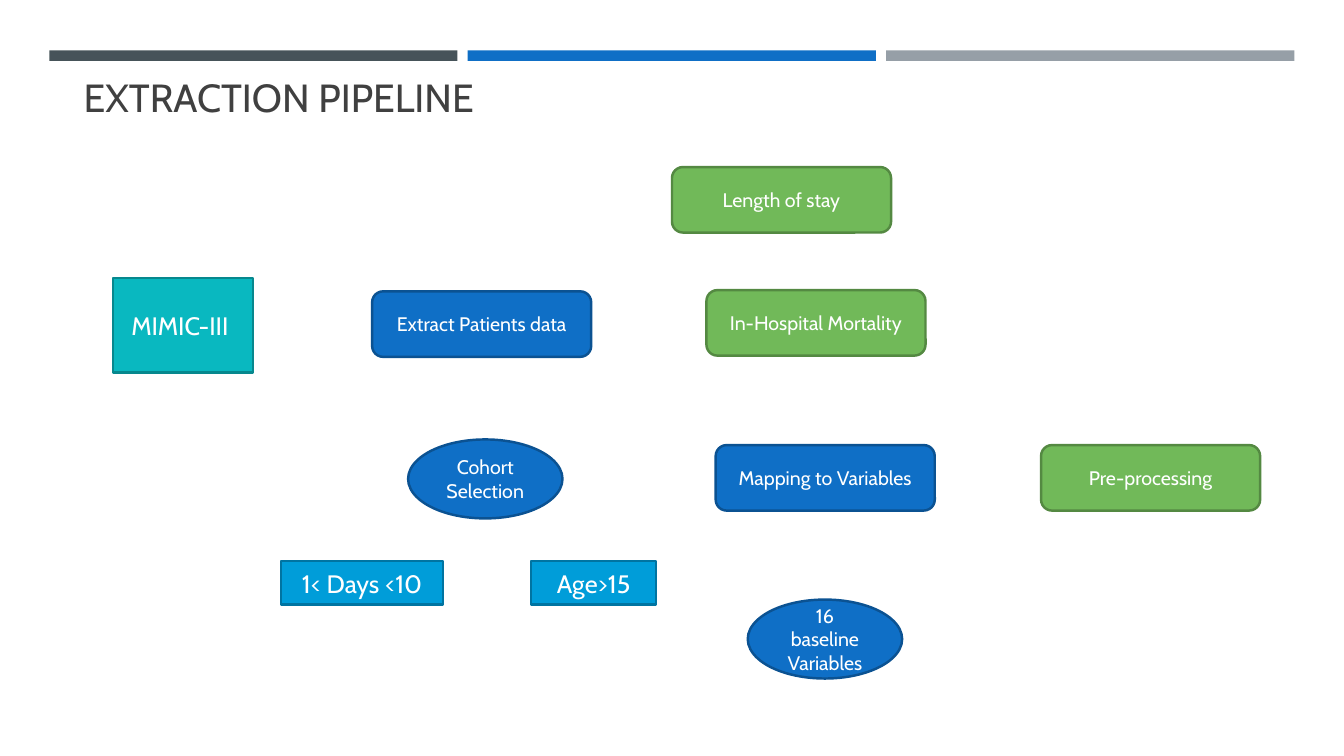
"""Build the extraction pipeline slide."""
from dataclasses import dataclass

import pptx
import pptx.dml.color
import pptx.enum.shapes
import pptx.enum.text
import pptx.util

Pt = pptx.util.Pt
Shape = pptx.enum.shapes.MSO_SHAPE
Anchor = pptx.enum.text.MSO_ANCHOR
Align = pptx.enum.text.PP_ALIGN

COLORS = {
    "title": "404040", "white": "FFFFFF",
    "slate": "465359", "gray": "969FA7",
    "blue": "0F6FC6", "blue_line": "0B5292",
    "sky": "009DD9", "sky_line": "0074A1",
    "green": "71B959", "green_line": "548942",
    "teal": "09B8C0", "teal_line": "07888E",
}
STEP_SIZE = (156.5, 46.8)
DETAIL_SIZE = (110.3, 56.4)


@dataclass(frozen=True)
class Node:
    """A labelled shape of the pipeline, in points."""
    text: str
    left: float
    top: float
    color: str
    kind: Shape = Shape.ROUNDED_RECTANGLE
    size: tuple[float, float] = STEP_SIZE
    font_size: float = 14


NODES = [
    Node("Cohort Selection", 291.5, 313.9, "blue", Shape.OVAL, DETAIL_SIZE),
    Node("Extract Patients data", 265.8, 208.1, "blue"),
    Node("Mapping to Variables", 511.2, 317.9, "blue"),
    Node("1< Days <10", 200.9, 400.9, "sky", Shape.RECTANGLE, (115.4, 31), 18),
    Node("Age>15", 379.3, 400.9, "sky", Shape.RECTANGLE, (89.5, 31), 18),
    Node("16 baseline Variables", 534.1, 428.3, "blue", Shape.OVAL, DETAIL_SIZE),
    Node("Pre-processing", 743.6, 317.9, "green"),
    Node("MIMIC-III ", 80.6, 198.7, "teal", Shape.RECTANGLE, (100, 67.3), 18),
    Node("Length of stay", 480, 119.3, "green"),
    Node("In-Hospital Mortality", 504.6, 207.2, "green"),
]


def rgb(name: str) -> pptx.dml.color.RGBColor:
    """Return the named colour."""
    return pptx.dml.color.RGBColor.from_string(COLORS[name])


def write_text(shape, text: str, *, size: float, color: str = "white",
               align: Align = Align.CENTER, anchor: Anchor = Anchor.MIDDLE) -> None:
    """Put formatted text into a shape."""
    frame = shape.text_frame
    frame.word_wrap = True
    frame.auto_size = pptx.enum.text.MSO_AUTO_SIZE.NONE
    frame.vertical_anchor = anchor
    paragraph = frame.paragraphs[0]
    paragraph.alignment = align
    run = paragraph.add_run()
    run.text = text
    run.font.name = "Cabin"
    run.font.size = Pt(size)
    run.font.color.rgb = rgb(color)


def add_block(slide, kind: Shape, left: float, top: float,
              size: tuple[float, float], color: str):
    """Add a filled shape without outline or shadow."""
    shape = slide.shapes.add_shape(kind, Pt(left), Pt(top), Pt(size[0]), Pt(size[1]))
    shape.shadow.inherit = False
    shape.fill.solid()
    shape.fill.fore_color.rgb = rgb(color)
    shape.line.fill.background()
    return shape


def add_node(slide, node: Node) -> None:
    """Draw one outlined, labelled node."""
    shape = add_block(slide, node.kind, node.left, node.top, node.size, node.color)
    shape.line.color.rgb = rgb(f"{node.color}_line")
    shape.line.width = Pt(1.75)
    write_text(shape, node.text, size=node.font_size)


def main() -> None:
    """Create and save the presentation."""
    presentation = pptx.Presentation()
    presentation.slide_width, presentation.slide_height = Pt(960), Pt(540)
    slide = presentation.slides.add_slide(presentation.slide_layouts[5])

    for index, color in enumerate(("slate", "blue", "gray")):
        add_block(slide, Shape.RECTANGLE, 35.2 + index * 298.9, 36, (291.6, 7.5), color)

    title = slide.shapes.title
    title.left, title.top, title.width, title.height = Pt(52.6), Pt(-4.3), Pt(868.3), Pt(93.6)
    write_text(title, "EXTRACTION PIPELINE", size=28, color="title",
               align=Align.LEFT, anchor=Anchor.BOTTOM)

    for node in NODES:
        add_node(slide, node)
    presentation.save("out.pptx")


if __name__ == "__main__":
    main()
